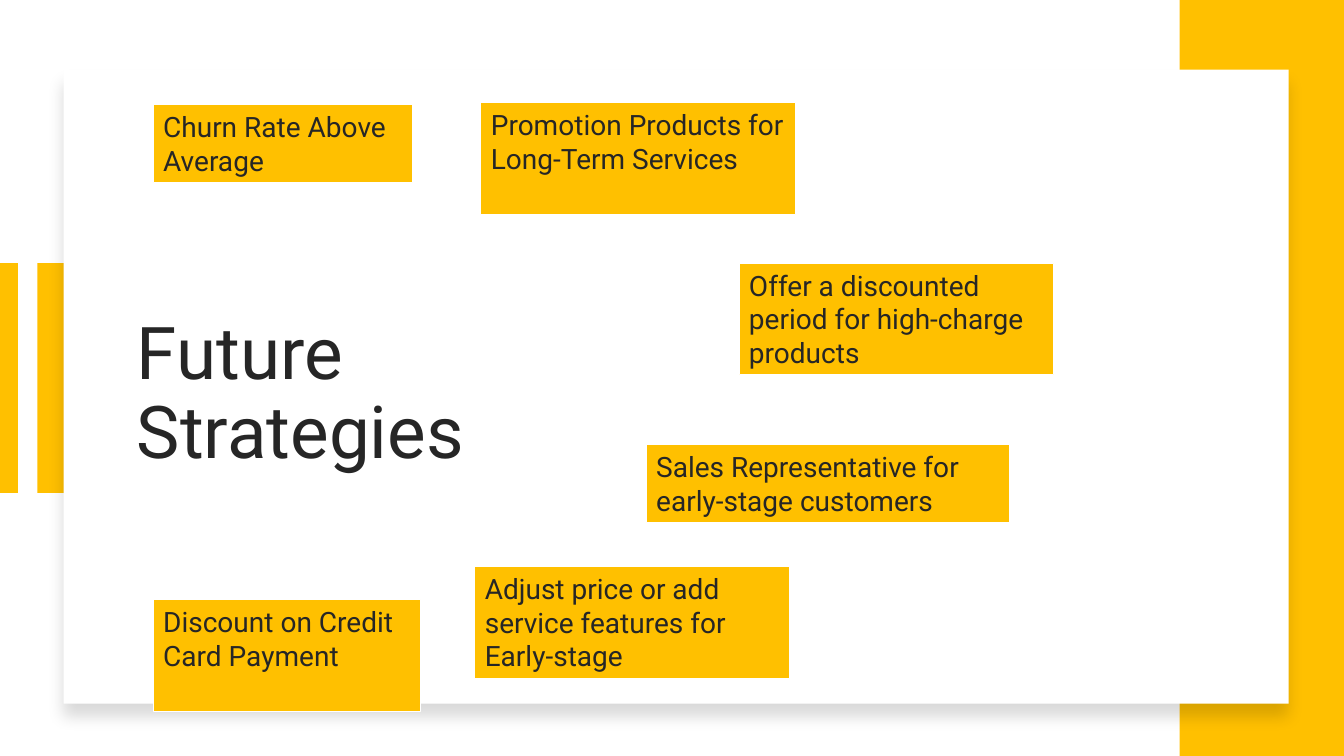
from dataclasses import dataclass

from lxml.etree import SubElement
from pptx import Presentation
from pptx.dml.color import RGBColor
from pptx.enum.shapes import MSO_CONNECTOR, MSO_SHAPE
from pptx.enum.text import MSO_ANCHOR, MSO_AUTO_SIZE, PP_ALIGN
from pptx.oxml.ns import qn
from pptx.util import Inches, Length, Pt

# Grid of tenth-inch cells
COLS, ROWS = 133.3, 75
YELLOW, WHITE, INK, BLACK = "FFC000", "FFFFFF", "262626", "000000"
FONT = "Roboto"


@dataclass
class Strategy:
    text: str
    col: float
    row: float
    cols: float
    lines: int

    @property
    def rows(self) -> float:
        return {2: 7.7, 3: 11.1}[self.lines]


STRATEGIES = [
    Strategy("Churn Rate Above Average", 15.2, 10.4, 25.7, 2),
    Strategy("Promotion Products for Long-Term Services", 47.7, 10.2, 31.2, 3),
    Strategy("Offer a discounted period for high-charge products", 73.3, 26.1, 31.2, 3),
    Strategy("Sales Representative for early-stage customers", 64.1, 44.1, 36, 2),
    Strategy("Adjust price or add service features for Early-stage", 47.1, 56.2, 31.2, 3),
    Strategy("Discount on Credit Card Payment", 15.2, 59.5, 26.5, 3),
]


def cell(n: float) -> Length:
    return Inches(n / 10)


def rgb(color: str) -> RGBColor:
    return RGBColor.from_string(color)


def add_block(s, col: float, row: float, cols: float, rows: float, fill: str):
    sp = s.shapes.add_shape(MSO_SHAPE.RECTANGLE, cell(col), cell(row), cell(cols), cell(rows))
    sp.shadow.inherit = False
    sp.fill.solid()
    sp.fill.fore_color.rgb = rgb(fill)
    sp.line.fill.background()
    return sp


def add_shadow(sp, color: str, opacity: int, blur: float, distance: float, angle: int) -> None:
    effects = sp._element.spPr.find(qn("a:effectLst"))
    shadow = SubElement(effects, qn("a:outerShdw"), blurRad=str(Pt(blur)), dist=str(Pt(distance)),
                        dir=str(angle * 60000), algn="t", rotWithShape="0")
    tint = SubElement(shadow, qn("a:srgbClr"), val=color)
    SubElement(tint, qn("a:alpha"), val=str(opacity * 1000))


def set_text(tf, text: str, size: float):
    tf.word_wrap = True
    p = tf.paragraphs[0]
    p.text = text
    p.alignment = PP_ALIGN.LEFT
    p.font.name = FONT
    p.font.size = Pt(size)
    p.font.color.rgb = rgb(INK)
    return p


def add_strategy(s, item: Strategy) -> None:
    sp = add_block(s, item.col, item.row, item.cols, item.rows, YELLOW)
    sp.line.color.rgb = rgb(WHITE)
    sp.line.width = Pt(0.75)
    tf = sp.text_frame
    set_text(tf, item.text, 20)
    tf.vertical_anchor = MSO_ANCHOR.TOP
    tf.auto_size = MSO_AUTO_SIZE.SHAPE_TO_FIT_TEXT


def main() -> None:
    prs = Presentation()
    prs.slide_width, prs.slide_height = cell(COLS), cell(ROWS)
    s = prs.slides.add_slide(prs.slide_layouts[6])

    # Left accent: bar and stripe
    top, height = 26.1, 22.8
    add_block(s, 3.7, top, 3.4, height, YELLOW)
    stripe = s.shapes.add_connector(MSO_CONNECTOR.STRAIGHT, cell(0.8), cell(top),
                                    cell(0.8), cell(top + height))
    stripe.line.color.rgb = rgb(YELLOW)
    stripe.line.width = Pt(14)
    SubElement(stripe._element.spPr, qn("a:effectLst"))

    # Right band and the raised card
    band = 16.3
    add_block(s, COLS - band, 0, band, ROWS, YELLOW)
    card = add_block(s, 6.3, 6.9, 121.5, 62.9, WHITE)
    add_shadow(card, BLACK, opacity=15, blur=11, distance=10, angle=90)

    # Title
    title = s.shapes.add_textbox(cell(12.6), cell(13.6), cell(43.8), cell(51.2))
    tf = title.text_frame
    tf.vertical_anchor = MSO_ANCHOR.MIDDLE
    p = set_text(tf, "Future Strategies", 52)
    p.line_spacing = 0.9
    p.space_after = Pt(6)

    # Strategy boxes
    for item in STRATEGIES:
        add_strategy(s, item)

    prs.save("out.pptx")


if __name__ == "__main__":
    main()
